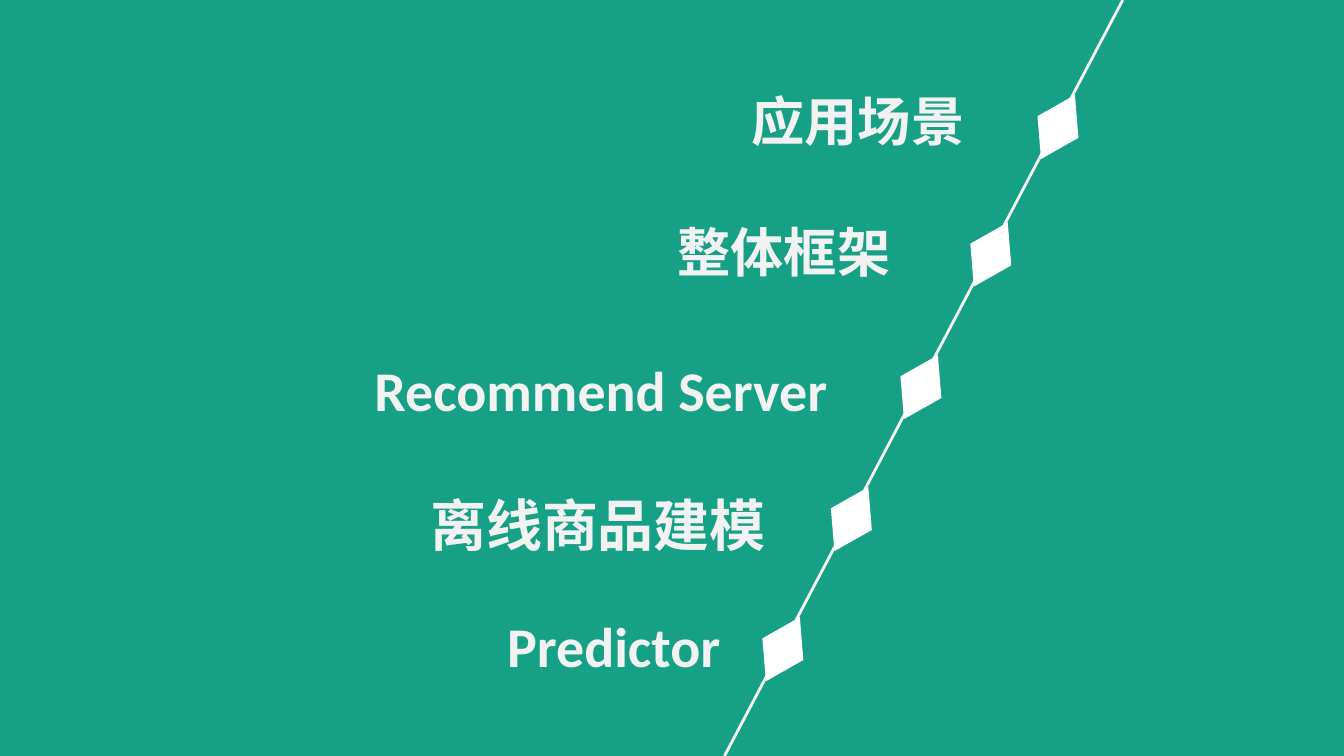
from lxml.etree import SubElement
from pptx import Presentation
from pptx.dml.color import RGBColor
from pptx.enum.shapes import MSO_CONNECTOR, MSO_SHAPE
from pptx.enum.text import MSO_ANCHOR, PP_ALIGN
from pptx.oxml.ns import qn
from pptx.util import Pt

GREEN = RGBColor(0x16, 0xA0, 0x85)
PALE = RGBColor(0xF2, 0xF2, 0xF2)
WHITE = RGBColor(0xFF, 0xFF, 0xFF)

AGENDA = [
    {"label": "应用场景", "size": 38, "spacing": 0.9, "right": 689, "middle": 88.5, "marker": 90.7},
    {"label": "整体框架", "size": 38, "spacing": 0.9, "right": 636, "middle": 182, "marker": 181.8},
    {"label": "Recommend Server", "size": 40, "spacing": 1, "right": 591, "middle": 278, "marker": 276.5},
    {"label": "离线商品建模", "size": 40, "spacing": 1, "right": 547, "middle": 374.5, "marker": 370.8},
    {"label": "Predictor", "size": 40, "spacing": 1, "right": 514.5, "middle": 461, "marker": 463.7},
]
PAGE_WIDTH, PAGE_HEIGHT = 960, 540
LINE_TOP, LINE_BOTTOM = 802, 517.5
LABEL_WIDTH, LABEL_HEIGHT = 360, 62
DIAMOND_WIDTH, DIAMOND_HEIGHT = 51.8, 33.1
DIAMOND_SHIFT = 1.5


def set_values(target, values):
    for name, value in values.items():
        setattr(target, name, value)


def add_path_line(page):
    line = page.shapes.add_connector(
        MSO_CONNECTOR.STRAIGHT, Pt(LINE_TOP), Pt(0), Pt(LINE_BOTTOM), Pt(PAGE_HEIGHT))
    line.line.color.rgb = PALE
    line.line.width = Pt(0)
    SubElement(line._element.spPr, qn("a:effectLst"))


def add_marker(page, middle):
    center = LINE_TOP + (LINE_BOTTOM - LINE_TOP) * middle / PAGE_HEIGHT + DIAMOND_SHIFT
    diamond = page.shapes.add_shape(
        MSO_SHAPE.DIAMOND, Pt(center - DIAMOND_WIDTH / 2), Pt(middle - DIAMOND_HEIGHT / 2),
        Pt(DIAMOND_WIDTH), Pt(DIAMOND_HEIGHT))
    diamond.rotation = 297.9
    diamond.shadow.inherit = False
    diamond.fill.solid()
    diamond.fill.fore_color.rgb = WHITE
    diamond.line.fill.background()


def add_label(page, item):
    box = page.shapes.add_textbox(
        Pt(item["right"] - LABEL_WIDTH), Pt(item["middle"] - LABEL_HEIGHT / 2),
        Pt(LABEL_WIDTH), Pt(LABEL_HEIGHT))
    set_values(box.text_frame, {
        "word_wrap": True, "vertical_anchor": MSO_ANCHOR.MIDDLE,
        "margin_left": 0, "margin_right": 0, "margin_top": 0, "margin_bottom": 0})
    para = box.text_frame.paragraphs[0]
    set_values(para, {"alignment": PP_ALIGN.RIGHT, "line_spacing": float(item["spacing"])})
    span = para.add_run()
    span.text = item["label"]
    set_values(span.font, {"name": "Calibri", "size": Pt(item["size"]), "bold": True})
    span.font.color.rgb = PALE


def main():
    deck = Presentation()
    deck.slide_width, deck.slide_height = Pt(PAGE_WIDTH), Pt(PAGE_HEIGHT)
    page = deck.slides.add_slide(deck.slide_layouts[6])
    page.background.fill.solid()
    page.background.fill.fore_color.rgb = GREEN
    add_path_line(page)
    for item in AGENDA:
        add_marker(page, item["marker"])
        add_label(page, item)
    deck.save("out.pptx")


if __name__ == "__main__":
    main()
